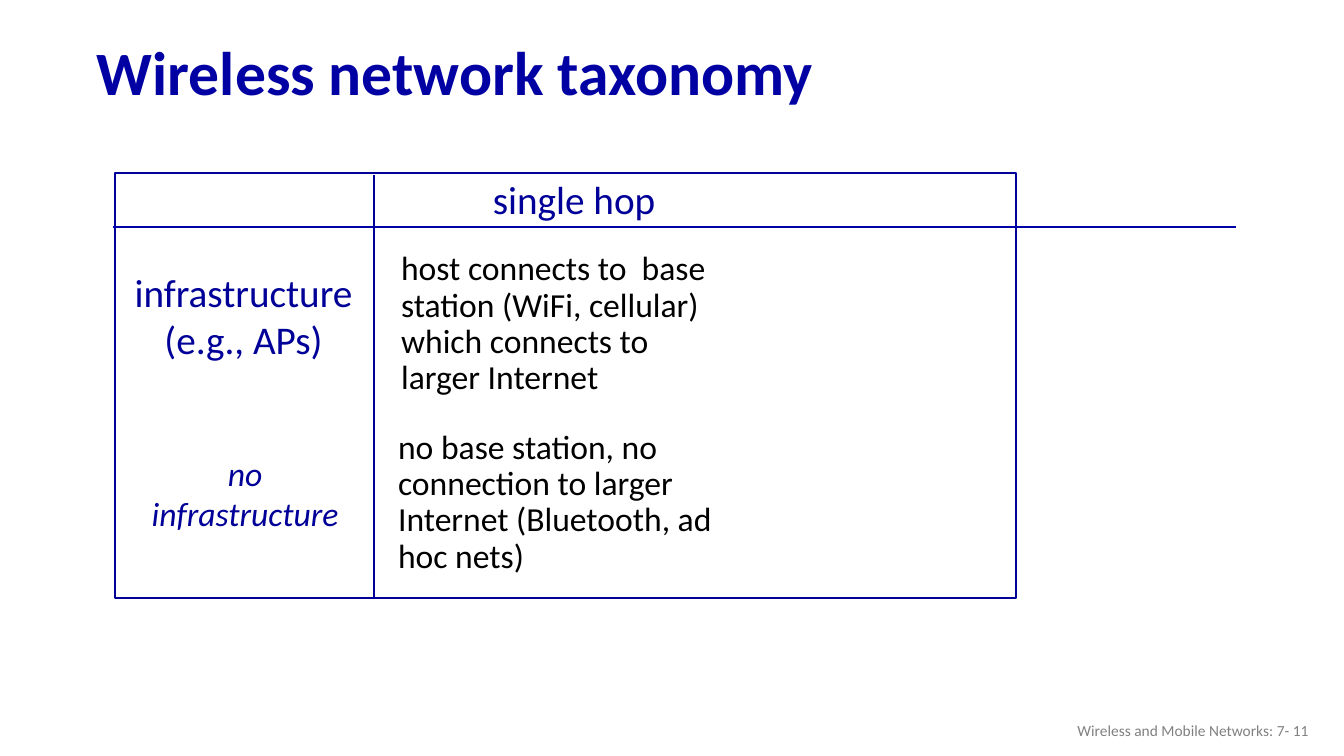
from pptx import Presentation
from pptx.dml.color import RGBColor
from pptx.enum.shapes import MSO_CONNECTOR, MSO_SHAPE
from pptx.enum.text import MSO_ANCHOR, PP_ALIGN
from pptx.oxml.ns import qn
from pptx.util import Inches, Pt
from lxml import etree

TITLE_BLUE = RGBColor(0x00, 0x00, 0xA3)
BLUE = RGBColor(0x00, 0x00, 0x99)
RULE_BLUE = RGBColor(0x00, 0x00, 0xA8)
BLACK = RGBColor(0x00, 0x00, 0x00)
GRAY = RGBColor(0x80, 0x80, 0x80)

# Content: text, box (left, top, width, height), format
TITLE = "Wireless network taxonomy"
HEADING = dict(size=28, color=BLUE, wrap=False)
CENTERED = dict(HEADING, align=PP_ALIGN.CENTER)
DETAIL = dict(size=24, color=BLACK, spacing=0.9)
LABELS = [
    ("Wireless and Mobile Networks: 7- 11", (10.08, 7.05, 3, 0.4),
     dict(size=11, color=GRAY, align=PP_ALIGN.RIGHT, anchor=MSO_ANCHOR.MIDDLE)),
    ("single hop", (4.79, 1.69, 1.83, 0.57), HEADING),
    ("infrastructure\n(e.g., APs)", (1.22, 2.61, 2.39, 1.04), CENTERED),
    ("no\ninfrastructure", (1.39, 4.44, 2.08, 0.91),
     dict(CENTERED, size=24, italic=True)),
    ("host connects to  base station (WiFi, cellular) which connects to  larger Internet",
     (3.88, 2.45, 3.31, 1.56), DETAIL),
    ("no base station, no connection to larger  Internet (Bluetooth, ad hoc nets)",
     (3.85, 4.22, 3.68, 1.56), DETAIL),
]
FRAME = (1.14, 1.72, 8.94, 4.21)
# Rules: start x, start y, end x, end y, color, width
RULES = [
    (3.71, 1.74, 3.71, 5.92, BLUE, 1.5),
    (1.12, 2.25, 12.26, 2.25, RULE_BLUE, 1.75),
]


def inches(values):
    return [Inches(v) for v in values]


def write(tf, text, size, color, bold=False, italic=False, align=PP_ALIGN.LEFT,
          anchor=MSO_ANCHOR.TOP, spacing=1.0, wrap=True):
    tf.word_wrap = wrap
    tf.vertical_anchor = anchor
    for i, line in enumerate(text.split("\n")):
        p = tf.paragraphs[0] if i == 0 else tf.add_paragraph()
        p.alignment = align
        p.line_spacing = spacing
        r = p.add_run()
        r.text = line
        r.font.name = "Calibri"
        r.font.size = Pt(size)
        r.font.bold = bold
        r.font.italic = italic
        r.font.color.rgb = color


prs = Presentation()
prs.slide_width, prs.slide_height = Inches(13.33), Inches(7.5)
s = prs.slides.add_slide(prs.slide_layouts[5])

# Title
title = s.shapes.title
title.left, title.top, title.width, title.height = inches((0.86, 0.26, 11.5, 0.98))
write(title.text_frame, TITLE, size=44, color=TITLE_BLUE, bold=True,
      anchor=MSO_ANCHOR.MIDDLE, spacing=0.9)

# Headings, descriptions and footer
for text, box, style in LABELS:
    write(s.shapes.add_textbox(*inches(box)).text_frame, text, **style)

# Grid frame
frame = s.shapes.add_shape(MSO_SHAPE.RECTANGLE, *inches(FRAME))
frame.shadow.inherit = False
frame.fill.background()
frame.line.color.rgb = BLUE
frame.line.width = Pt(1.5)

# Grid rules
for *ends, color, width in RULES:
    rule = s.shapes.add_connector(MSO_CONNECTOR.STRAIGHT, *inches(ends))
    rule.line.color.rgb = color
    rule.line.width = Pt(width)
    etree.SubElement(rule._element.spPr, qn("a:effectLst"))

prs.save("out.pptx")
